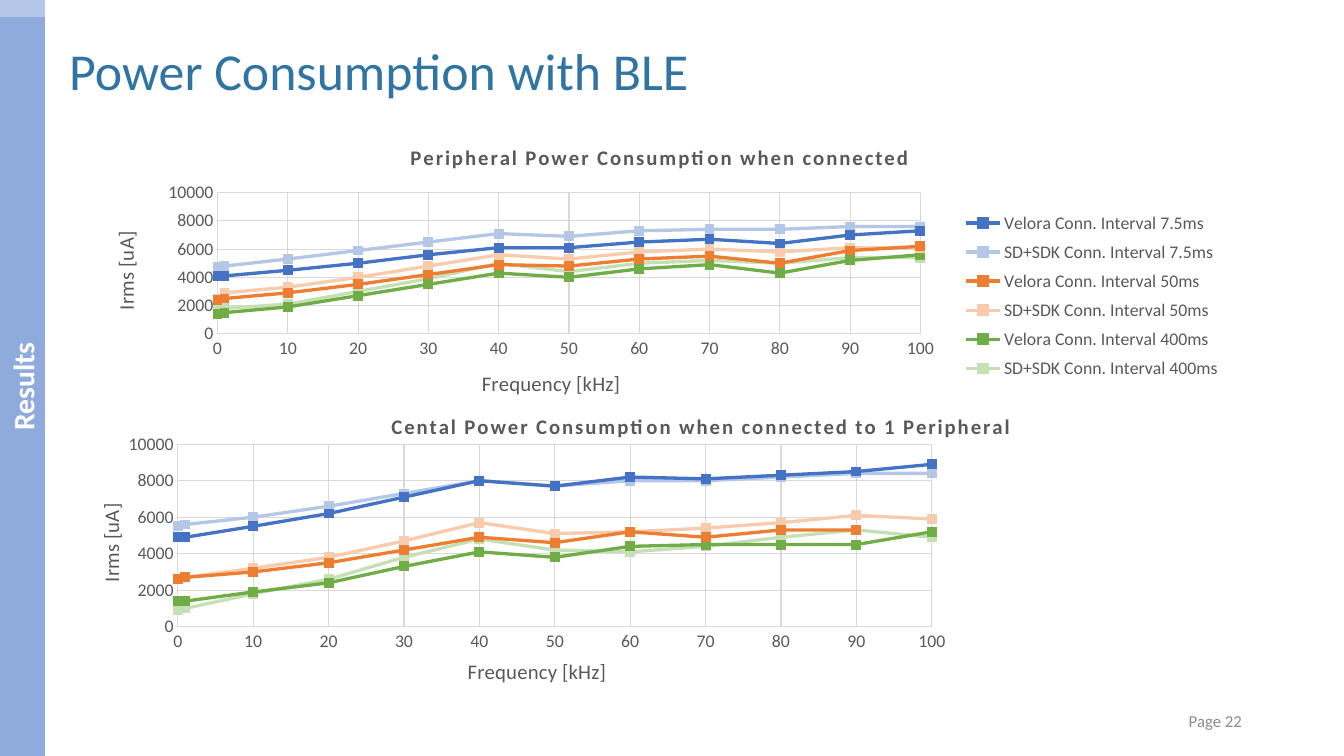
from lxml.etree import SubElement
from pptx import Presentation
from pptx.chart.data import XyChartData
from pptx.dml.color import RGBColor
from pptx.enum.chart import XL_CHART_TYPE, XL_LEGEND_POSITION, XL_MARKER_STYLE, XL_TICK_MARK
from pptx.enum.shapes import MSO_SHAPE
from pptx.enum.text import MSO_ANCHOR, PP_ALIGN
from pptx.oxml.ns import qn
from pptx.util import Inches, Pt

WHITE = RGBColor(0xFF, 0xFF, 0xFF)
TITLE_BLUE = RGBColor(0x2F, 0x74, 0xA3)
BAR_BLUE = RGBColor(0x8F, 0xAA, 0xDC)
LIGHT_BLUE = RGBColor(0xB4, 0xC7, 0xE7)
PAGE_GRAY = RGBColor(0x8C, 0x8C, 0x8C)
TEXT_GRAY = RGBColor(0x59, 0x59, 0x59)
GRID_GRAY = RGBColor(0xD9, 0xD9, 0xD9)
SERIES_COLORS = [
    RGBColor(0x44, 0x72, 0xC4), LIGHT_BLUE,
    RGBColor(0xED, 0x7D, 0x31), RGBColor(0xF8, 0xCB, 0xAD),
    RGBColor(0x70, 0xAD, 0x47), RGBColor(0xC5, 0xE0, 0xB4),
]

FREQUENCIES = [0, 1, *range(10, 101, 10)]
PERIPHERAL_NAMES = [
    f"{stack} Conn. Interval {interval}"
    for interval in ("7.5ms", "50ms", "400ms")
    for stack in ("Velora", "SD+SDK")
]
CENTRAL_NAMES = [f"Series {number}" for number in range(1, 7)]
PERIPHERAL_CURRENTS = [
    [4100, 4100, 4500, 5000, 5600, 6100, 6100, 6500, 6700, 6400, 7000, 7300],
    [4700, 4800, 5300, 5900, 6500, 7100, 6900, 7300, 7400, 7400, 7600, 7600],
    [2400, 2500, 2900, 3500, 4200, 4900, 4800, 5300, 5500, 5000, 5900, 6200],
    [2500, 2900, 3300, 4000, 4800, 5600, 5300, 5800, 6000, 5800, 6100, 6100],
    [1400, 1500, 1900, 2700, 3500, 4300, 4000, 4600, 4900, 4300, 5200, 5600],
    [1700, 1800, 2100, 3000, 3900, 5000, 4400, 5000, 5200, 5000, 5400, 5400],
]
CENTRAL_CURRENTS = [
    [4900, 4900, 5500, 6200, 7100, 8000, 7700, 8200, 8100, 8300, 8500, 8900],
    [5500, 5600, 6000, 6600, 7300, 8000, 7700, 8000, 8000, 8200, 8400, 8400],
    [2600, 2700, 3000, 3500, 4200, 4900, 4600, 5200, 4900, 5300, 5300],
    [2600, 2700, 3200, 3800, 4700, 5700, 5100, 5200, 5400, 5700, 6100, 5900],
    [1400, 1400, 1900, 2400, 3300, 4100, 3800, 4400, 4500, 4500, 4500, 5200],
    [900, 1000, 1800, 2600, 3800, 4800, 4200, 4100, 4400, 4900, 5300, 4900],
]


def write(frame, text, size, color, bold=False, align=None):
    para = frame.paragraphs[0]
    para.alignment = align
    span = para.add_run()
    span.text = text
    span.font.name = "Calibri"
    span.font.size = Pt(size)
    span.font.bold = bold
    span.font.color.rgb = color
    return span


def place(element, index, shares, inner=False):
    for layout in element.findall(qn("c:layout")):
        element.remove(layout)
    layout = SubElement(element, qn("c:layout"))
    element.insert(index, layout)
    manual = SubElement(layout, qn("c:manualLayout"))
    if inner:
        SubElement(manual, qn("c:layoutTarget")).set("val", "inner")
    for key in ("xMode", "yMode"):
        SubElement(manual, qn(f"c:{key}")).set("val", "edge")
    for key, share in zip("xywh", shares):
        SubElement(manual, qn(f"c:{key}")).set("val", str(share))


deck = Presentation()
deck.slide_width = Inches(12.6)
deck.slide_height = Inches(7.09)
WIDTH, HEIGHT = deck.slide_width, deck.slide_height
page = deck.slides.add_slide(deck.slide_layouts[6])

BAR_WIDTH = Inches(0.42)
BAR_TOP = Inches(0.16)
for top, color, label in ((0, LIGHT_BLUE, None), (BAR_TOP, BAR_BLUE, "Results")):
    bar = page.shapes.add_shape(MSO_SHAPE.RECTANGLE, 0, top, BAR_WIDTH, HEIGHT - top)
    bar.shadow.inherit = False
    bar.fill.solid()
    bar.fill.fore_color.rgb = color
    bar.line.fill.background()
    if label:
        frame = bar.text_frame
        frame.vertical_anchor = MSO_ANCHOR.MIDDLE
        frame.margin_left = frame.margin_right = 0
        frame._txBody.bodyPr.set("vert", "vert270")
        write(frame, label, 20, WHITE, True, PP_ALIGN.CENTER)

heading = page.shapes.add_textbox(Inches(0.55), Inches(0.31), WIDTH - Inches(0.55), Inches(0.69))
heading.text_frame.word_wrap = True
write(heading.text_frame, "Power Consumption with BLE", 35, TITLE_BLUE)

number_box = page.shapes.add_textbox(Inches(8.9), Inches(6.57), Inches(2.84), Inches(0.38))
number_box.text_frame.word_wrap = True
number_box.text_frame.vertical_anchor = MSO_ANCHOR.MIDDLE
write(number_box.text_frame, "Page 22", 11.3, PAGE_GRAY, align=PP_ALIGN.RIGHT)

CHARTS = [
    (1.2, "Peripheral Power Consumption when connected", None,
     (0.11, 0.22, 0.62, 0.48), (0.77, 0.26, 0.23, 0.62),
     PERIPHERAL_NAMES, PERIPHERAL_CURRENTS),
    (3.72, "Cental Power Consumption when connected to 1 Peripheral", (0.26, 0.04),
     (0.075, 0.162, 0.665, 0.62), None,
     CENTRAL_NAMES, CENTRAL_CURRENTS),
]
for top, title, title_place, plot_place, legend_place, names, currents in CHARTS:
    data = XyChartData()
    for name, values in zip(names, currents):
        series = data.add_series(name)
        for frequency, current in zip(FREQUENCIES, values):
            series.add_data_point(frequency, current)
    chart = page.shapes.add_chart(
        XL_CHART_TYPE.XY_SCATTER_LINES, Inches(0.87), Inches(top),
        Inches(10.63), Inches(2.76), data).chart
    chart.font.name = "Calibri"
    chart.font.size = Pt(10)

    chart.has_title = True
    title_span = write(chart.chart_title.text_frame, title, 14, TEXT_GRAY, True)
    title_span._r.get_or_add_rPr().set("spc", "120")
    if title_place:
        place(chart.chart_title._element, 1, title_place)
    place(chart._chartSpace.chart.plotArea, 0, plot_place, inner=True)

    chart.has_legend = legend_place is not None
    if legend_place:
        legend = chart.legend
        legend.position = XL_LEGEND_POSITION.RIGHT
        legend.include_in_layout = False
        legend.font.name = "Calibri"
        legend.font.size = Pt(12)
        legend.font.color.rgb = TEXT_GRAY
        place(legend._element, 1, legend_place)

    for axis, label, maximum, step, turn in (
            (chart.category_axis, "Frequency [kHz]", 100, 10, 0),
            (chart.value_axis, "Irms [uA]", 10000, 2000, -5400000)):
        axis.minimum_scale = 0
        axis.maximum_scale = maximum
        axis.major_unit = step
        axis.major_tick_mark = XL_TICK_MARK.NONE
        axis.minor_tick_mark = XL_TICK_MARK.NONE
        axis.has_major_gridlines = True
        for line in (axis.format.line, axis.major_gridlines.format.line):
            line.color.rgb = GRID_GRAY
            line.width = Pt(0.75)
        axis.tick_labels.font.name = "Calibri"
        axis.tick_labels.font.size = Pt(12)
        axis.tick_labels.font.color.rgb = TEXT_GRAY
        axis.has_title = True
        frame = axis.axis_title.text_frame
        frame._txBody.bodyPr.set("rot", str(turn))
        write(frame, label, 14, TEXT_GRAY)

    plot = chart.plots[0]
    plot.vary_by_categories = False
    for series, color in zip(plot.series, SERIES_COLORS):
        series.smooth = False
        series.format.line.color.rgb = color
        series.format.line.width = Pt(2.25)
        series.marker.style = XL_MARKER_STYLE.SQUARE
        series.marker.size = 6
        series.marker.format.fill.solid()
        series.marker.format.fill.fore_color.rgb = color
        series.marker.format.line.color.rgb = color

deck.save("out.pptx")
